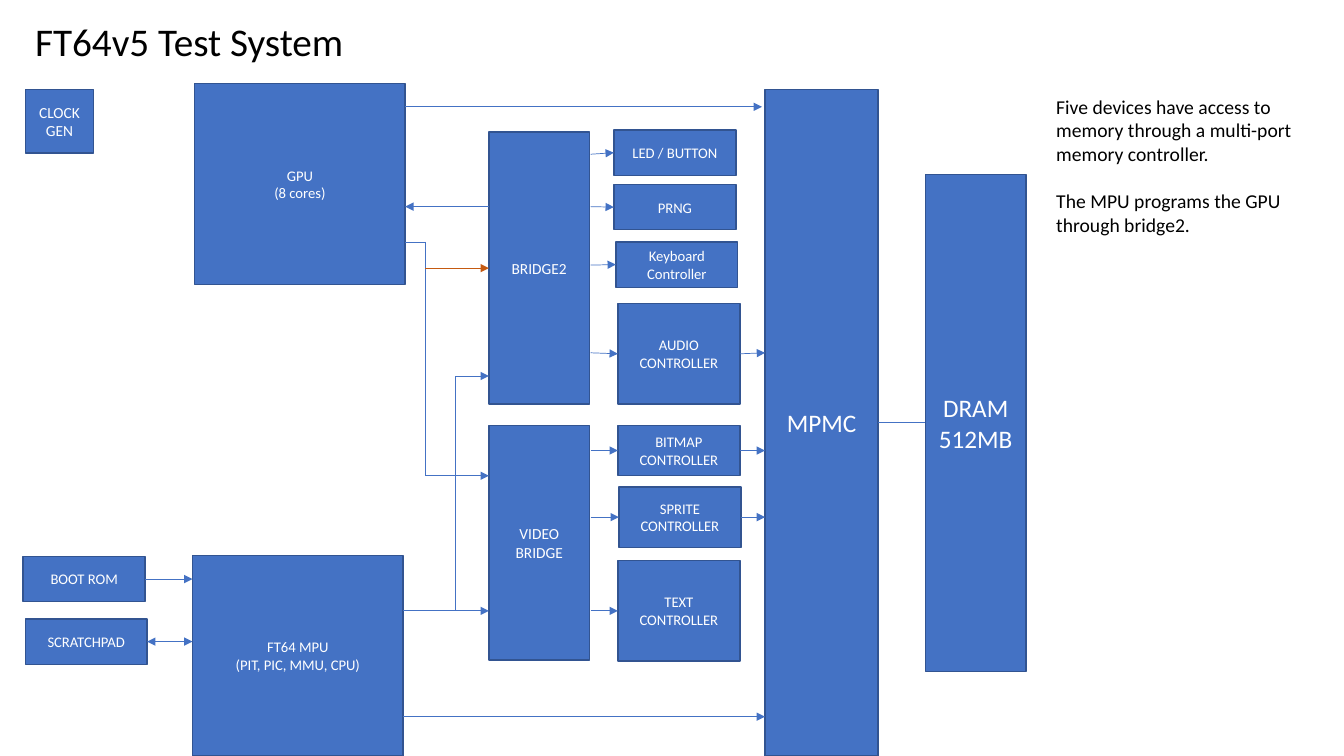
"""Draw the block diagram of the FT64v5 test system."""
from dataclasses import dataclass
from itertools import pairwise
from typing import NamedTuple

from lxml import etree
from pptx import Presentation
from pptx.dml.color import RGBColor
from pptx.enum.shapes import MSO_CONNECTOR, MSO_SHAPE
from pptx.enum.text import MSO_ANCHOR, MSO_AUTO_SIZE, PP_ALIGN
from pptx.oxml.ns import qn
from pptx.util import Inches, Pt

RECTANGLE = MSO_SHAPE.RECTANGLE
STRAIGHT = MSO_CONNECTOR.STRAIGHT
MIDDLE, TOP = MSO_ANCHOR.MIDDLE, MSO_ANCHOR.TOP
CENTER, LEFT_ALIGN = PP_ALIGN.CENTER, PP_ALIGN.LEFT
FIT_SHAPE = MSO_AUTO_SIZE.SHAPE_TO_FIT_TEXT

CELL = 0.1
COLUMNS, ROWS = 133.33, 75
LEFT, RIGHT = 1, 3
BLUE, EDGE, ORANGE = "4472C4", "325491", "C55A11"
WHITE, BLACK = "FFFFFF", "000000"
FONT = "Calibri"

DEVICE_WIDTH, SMALL_HEIGHT = 12.1, 4.5
CORE_WIDTH, CORE_HEIGHT = 20.9, 19.9
GPU_EDGE, MPU_EDGE, MPU_LEFT = 40.2, 40, 19.1
BRIDGE_LEFT, BRIDGE_EDGE, MPMC_LEFT = 48.5, 58.6, 75.9
GPU_TRUNK, MPU_TRUNK = 42.2, 45.2


class Point(NamedTuple):
    """A place on the grid."""
    column: float
    row: float


class Port(NamedTuple):
    """The middle of one side of a named block."""
    block: str
    side: int


Stop = Point | Port


@dataclass(frozen=True)
class Block:
    """A labelled unit of the system, measured in grid cells."""
    key: str
    label: str
    column: float
    row: float
    width: float
    height: float
    size: float = 10.5


@dataclass(frozen=True)
class Route:
    """A signal path through its stops, with an arrow at its end."""
    stops: tuple[Stop, ...]
    color: str = BLUE
    head: bool = False
    tail: bool = True


@dataclass(frozen=True)
class Caption:
    """Free text on the slide, measured in grid cells."""
    paragraphs: tuple[str, ...]
    column: float
    row: float
    width: float
    height: float
    size: float
    wrap: bool


BLOCKS = (
    Block("mpmc", "MPMC", MPMC_LEFT, 8.9, 11.2, 66.1, 18),
    Block("dram", "DRAM\n512MB", 91.8, 17.3, 10, 49.3, 18),
    Block("gpu", "GPU\n(8 cores)", 19.3, 8.3, CORE_WIDTH, CORE_HEIGHT),
    Block("mpu", "FT64 MPU\n(PIT, PIC, MMU, CPU)", MPU_LEFT, 55.1, CORE_WIDTH, CORE_HEIGHT),
    Block("bridge2", "BRIDGE2", BRIDGE_LEFT, 13.1, 10, 27, 11),
    Block("video", "VIDEO BRIDGE", BRIDGE_LEFT, 42.2, 10, 23.3, 11),
    Block("led", "LED / BUTTON", 60.9, 12.9, DEVICE_WIDTH, SMALL_HEIGHT),
    Block("prng", "PRNG", 60.9, 18.3, DEVICE_WIDTH, SMALL_HEIGHT),
    Block("keyboard", "Keyboard\nController", 61.1, 24, DEVICE_WIDTH, SMALL_HEIGHT),
    Block("audio", "AUDIO\nCONTROLLER", 61.3, 30.1, DEVICE_WIDTH, 10),
    Block("bitmap", "BITMAP\nCONTROLLER", 61.3, 42.2, DEVICE_WIDTH, 5),
    Block("sprite", "SPRITE\nCONTROLLER", 61.4, 48.3, DEVICE_WIDTH, 6),
    Block("text", "TEXT\nCONTROLLER", 61.3, 55.6, DEVICE_WIDTH, 10),
    Block("boot", "BOOT ROM", 2.3, 55.2, DEVICE_WIDTH, SMALL_HEIGHT),
    Block("scratchpad", "SCRATCHPAD", 2.5, 61.4, DEVICE_WIDTH, SMALL_HEIGHT),
    Block("clock", "CLOCK GEN", 2.5, 8.9, 6.8, 6.3, 11),
)

DEVICE_ROWS = {"led": 15.3, "prng": 20.5, "keyboard": 26.3, "audio": 35,
               "bitmap": 44.7, "sprite": 51.3, "text": 60.6}
MEMORY_ROWS = {"audio": 35, "bitmap": 44.7, "sprite": 51.3}

ROUTES = (
    Route((Port("mpmc", RIGHT), Port("dram", LEFT)), tail=False),
    *(Route((Point(BRIDGE_EDGE, row), Port(key, LEFT))) for key, row in DEVICE_ROWS.items()),
    *(Route((Port(key, RIGHT), Point(MPMC_LEFT, row))) for key, row in MEMORY_ROWS.items()),
    Route((Point(GPU_EDGE, 10.6), Point(75.6, 10.6))),
    Route((Point(MPU_EDGE, 71.1), Point(MPMC_LEFT, 71.1))),
    Route((Point(BRIDGE_LEFT, 20.5), Point(GPU_EDGE, 20.5))),
    Route((Point(GPU_EDGE, 24), Point(GPU_TRUNK, 24),
           Point(GPU_TRUNK, 47.2), Point(BRIDGE_LEFT, 47.2))),
    Route((Point(GPU_TRUNK, 26.6), Port("bridge2", LEFT)), ORANGE),
    Route((Point(MPU_EDGE, 60.6), Point(BRIDGE_LEFT, 60.6))),
    Route((Point(MPU_TRUNK, 60.6), Point(MPU_TRUNK, 37.3), Point(BRIDGE_LEFT, 37.3))),
    Route((Port("boot", RIGHT), Point(MPU_LEFT, 57.45))),
    Route((Port("scratchpad", RIGHT), Point(MPU_LEFT, 63.65)), head=True),
)

CAPTIONS = (
    Caption(("FT64v5 Test System",), 2.5, 1.2, 33, 5.7, 28, False),
    Caption(("Five devices have access to memory through a multi-port memory controller.",
             "The MPU programs the GPU through bridge2."), 103.8, 8.9, 26.8, 15.1, 14, True),
)


def cells(count: float) -> int:
    """Turn a number of grid cells into a slide length."""
    return Inches(count * CELL)


def paint(color_format, color: str) -> None:
    """Give a colour format its hex colour."""
    color_format.rgb = RGBColor.from_string(color)


def apply_format(target, values: dict) -> None:
    """Set each named attribute on the target."""
    for name, value in values.items():
        setattr(target, name, value)


def write(frame, paragraphs, size: float, color: str, align, gap: float = 0) -> None:
    """Fill a text frame with formatted paragraphs."""
    for index, wording in enumerate(paragraphs):
        paragraph = frame.add_paragraph() if index else frame.paragraphs[0]
        paragraph.text = wording
        apply_format(paragraph, {"alignment": align, "space_before": Pt(gap if index else 0)})
        apply_format(paragraph.font, {"name": FONT, "size": Pt(size)})
        paint(paragraph.font.color, color)


def draw_block(slide, block: Block):
    """Draw one unit and return its shape."""
    unit = slide.shapes.add_shape(
        RECTANGLE, *map(cells, (block.column, block.row, block.width, block.height)))
    unit.shadow.inherit = False
    unit.fill.solid()
    paint(unit.fill.fore_color, BLUE)
    paint(unit.line.color, EDGE)
    unit.line.width = Pt(1)
    apply_format(unit.text_frame, {"word_wrap": True, "vertical_anchor": MIDDLE})
    write(unit.text_frame, block.label.split("\n"), block.size, WHITE, CENTER)
    return unit


def position(stop: Stop) -> tuple[int, int]:
    """Return the slide position of a stop, before any joining."""
    return (cells(stop.column), cells(stop.row)) if isinstance(stop, Point) else (0, 0)


def draw_route(slide, route: Route, units: dict) -> None:
    """Draw a path as straight segments joined to their blocks."""
    last = len(route.stops) - 2
    for index, (start, end) in enumerate(pairwise(route.stops)):
        wire = slide.shapes.add_connector(STRAIGHT, *position(start), *position(end))
        for stop, join in ((start, wire.begin_connect), (end, wire.end_connect)):
            if isinstance(stop, Port):
                join(units[stop.block], stop.side)
        paint(wire.line.color, route.color)
        wire.line.width = Pt(0.5)
        outline = wire.line._get_or_add_ln()
        for tag, wanted in (("a:headEnd", route.head and index == 0),
                            ("a:tailEnd", route.tail and index == last)):
            if wanted:
                etree.SubElement(outline, qn(tag), type="triangle")
        etree.SubElement(wire._element.spPr, qn("a:effectLst"))


def draw_caption(slide, caption: Caption) -> None:
    """Draw one piece of free text."""
    box = slide.shapes.add_textbox(
        *map(cells, (caption.column, caption.row, caption.width, caption.height)))
    apply_format(box.text_frame, {"word_wrap": caption.wrap, "vertical_anchor": TOP,
                                  "auto_size": FIT_SHAPE})
    write(box.text_frame, caption.paragraphs, caption.size, BLACK, LEFT_ALIGN, gap=17)


def main() -> None:
    """Build the slide and save it."""
    deck = Presentation()
    apply_format(deck, {"slide_width": cells(COLUMNS), "slide_height": cells(ROWS)})
    slide = deck.slides.add_slide(deck.slide_layouts[6])
    units = {block.key: draw_block(slide, block) for block in BLOCKS}
    for route in ROUTES:
        draw_route(slide, route, units)
    for caption in CAPTIONS:
        draw_caption(slide, caption)
    deck.save("out.pptx")


if __name__ == "__main__":
    main()
